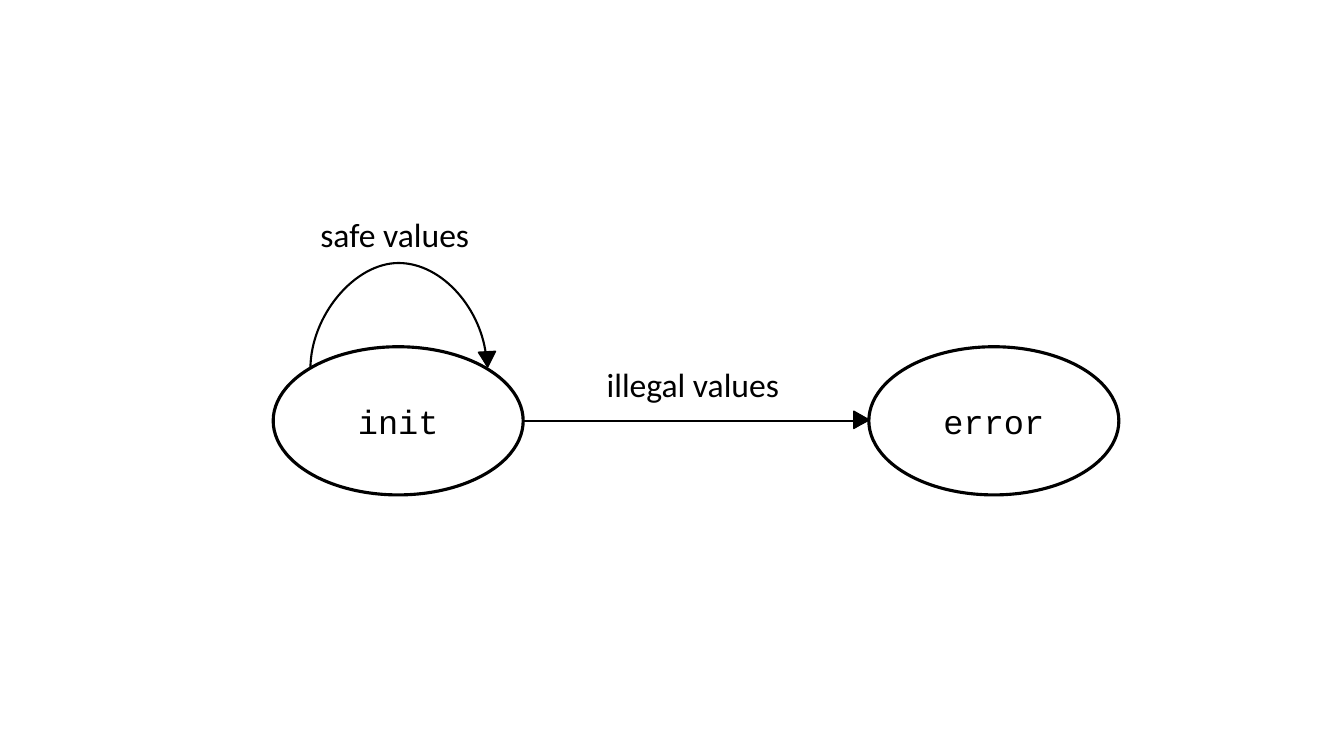
from lxml.etree import SubElement
from pptx import Presentation
from pptx.dml.color import RGBColor
from pptx.enum.shapes import MSO_CONNECTOR as Conn, MSO_SHAPE as Shape
from pptx.enum.text import MSO_ANCHOR as Anchor, MSO_AUTO_SIZE as AutoSize, PP_ALIGN as Align
from pptx.oxml.ns import qn
from pptx.util import Inches, Pt

COLORS = {"ink": "000000", "state": "FFFFFF"}
WIDTH, HEIGHT = Inches(13.33), Inches(7.5)
STATE_W, STATE_H = 18.6, 19.6
STATE_TOP = 45.87
MIDDLE = STATE_TOP + STATE_H / 2
INIT_X, ERROR_X = 20.33, 64.65


def px(share):
    return round(WIDTH * share / 100)


def py(share):
    return round(HEIGHT * share / 100)


def color(name):
    return RGBColor.from_string(COLORS[name])


def write(tf, text, font="Calibri", size=24, align=Align.LEFT):
    p = tf.paragraphs[0]
    p.alignment = align
    r = p.add_run()
    r.text = text
    r.font.name, r.font.size = font, Pt(size)
    r.font.color.rgb = color("ink")


def add_preset(s, kind, x, y, w, h, fill, line, rotation=0):
    sp = s.shapes.add_shape(kind, px(x), py(y), px(w), py(h))
    sp.shadow.inherit = False
    sp.fill.solid()
    sp.fill.fore_color.rgb = color(fill)
    sp.line.color.rgb = color("ink")
    sp.line.width = Pt(line)
    sp.rotation = rotation
    return sp


def add_state(s, x, name):
    sp = add_preset(s, Shape.OVAL, x, STATE_TOP, STATE_W, STATE_H, "state", 2.25)
    sp.text_frame.vertical_anchor = Anchor.MIDDLE
    write(sp.text_frame, name, font="Courier New", align=Align.CENTER)


def add_arrowhead(s, x, y, rotation):
    add_preset(s, Shape.ISOSCELES_TRIANGLE, x, y, 1.28, 2, "ink", 1, rotation)


def add_label(s, x, y, w, text):
    tf = s.shapes.add_textbox(px(x), py(y), px(w), py(6.67)).text_frame
    tf.word_wrap = False
    tf.auto_size = AutoSize.SHAPE_TO_FIT_TEXT
    write(tf, text)


def add_arrow(s, kind, x1, y1, x2, y2, width):
    cxn = s.shapes.add_connector(kind, x1, y1, x2, y2)
    cxn.line.color.rgb = color("ink")
    cxn.line.width = Pt(width)
    SubElement(cxn.line._get_or_add_ln(), qn("a:tailEnd"), type="triangle")
    SubElement(cxn._element.spPr, qn("a:effectLst"))
    return cxn


def add_loop(s, x1, y1, x2, y2, top):
    center_x, center_y = px((x1 + x2) / 2), py((y1 + y2) / 2)
    drop, span = py(y1 - y2), px(x2 - x1)
    cxn = add_arrow(s, Conn.CURVE, center_x + drop // 2, center_y + span // 2,
                    center_x - drop // 2, center_y - span // 2, 1.5)
    spPr = cxn._element.spPr
    spPr.find(qn("a:xfrm")).set("rot", "5400000")
    geometry = spPr.find(qn("a:prstGeom"))
    guides = geometry.find(qn("a:avLst"))
    if guides is None:
        guides = SubElement(geometry, qn("a:avLst"))
    bend = round(py(y1 - top) / drop * 100000)
    SubElement(guides, qn("a:gd"), name="adj1", fmla=f"val {bend}")


def main():
    prs = Presentation()
    prs.slide_width, prs.slide_height = WIDTH, HEIGHT
    s = prs.slides.add_slide(prs.slide_layouts[6])
    add_state(s, INIT_X, "init")
    add_state(s, ERROR_X, "error")
    add_loop(s, 23.1, 48.8, 36.22, 48.53, 34.67)
    add_arrow(s, Conn.STRAIGHT, px(INIT_X + STATE_W), py(MIDDLE), px(ERROR_X), py(MIDDLE), 1)
    add_label(s, 23.1, 27.6, 13.13, "safe values")
    add_label(s, 44.4, 47.47, 14.78, "illegal values")
    add_arrowhead(s, 35.62, 46.53, 176.9)
    add_arrowhead(s, 63.45, 54.53, 90)
    prs.save("out.pptx")


main()
